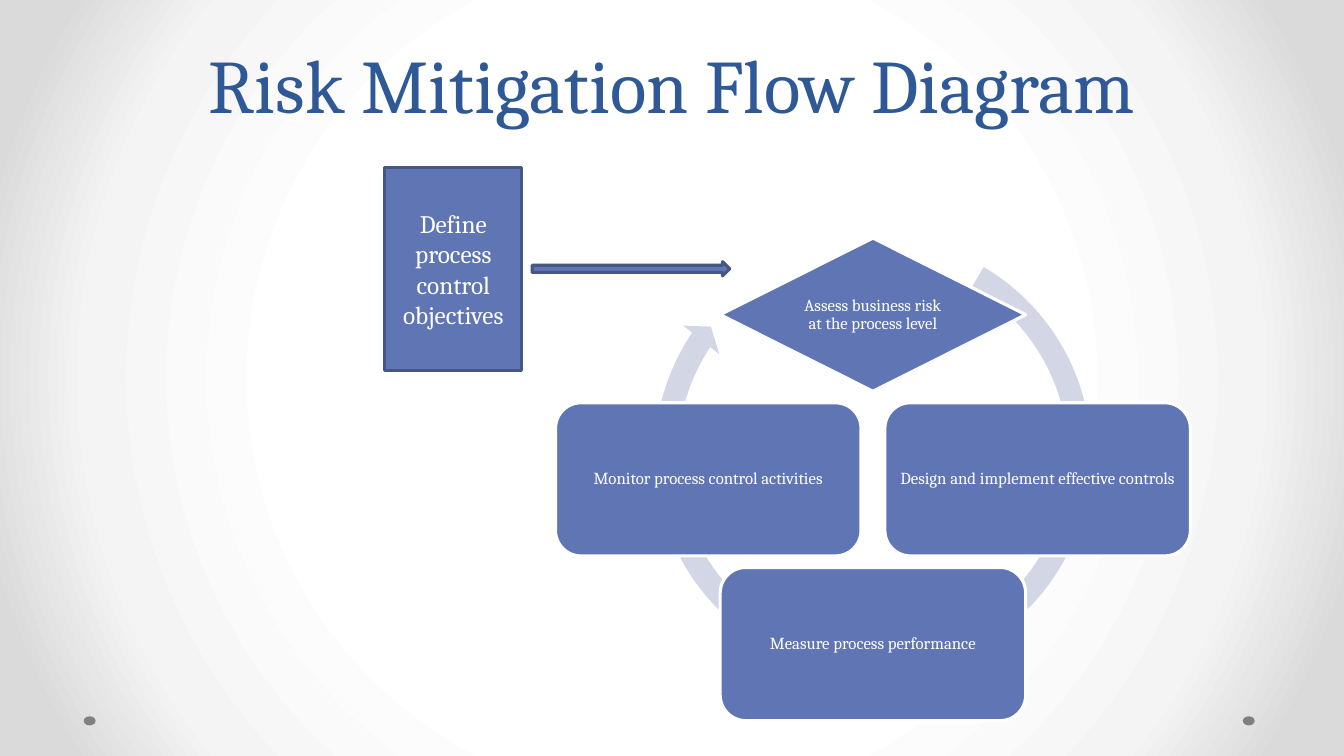
import math
from dataclasses import dataclass

from lxml import etree
from pptx import Presentation
from pptx import util as u
from pptx.dml.color import RGBColor
from pptx.enum import shapes, text
from pptx.oxml import ns


@dataclass(frozen=True)
class Theme:
    font: str = "Cambria"
    title: str = "2F5897"
    fill: str = "6076B4"
    edge: str = "475785"
    ring: str = "D2D6E5"
    dot: str = "808080"
    white: str = "FFFFFF"
    backdrop: tuple = ((50, "FFFFFF"), (76, "F4F4F4"), (92, "DADADA"))
    title_pt: float = 54
    title_leading_pt: float = 58
    start_pt: float = 18
    node_pt: float = 12
    line_pt: float = 2.25


THEME = Theme()
SHAPE = shapes.MSO_SHAPE


def add_block(parent, kind, box, fill, line=None):
    """Add a flat shape; box is left, top, width, height in cm."""
    sp = parent.add_shape(kind, *(u.Cm(v) for v in box))
    sp.shadow.inherit = False
    sp.fill.solid()
    sp.fill.fore_color.rgb = RGBColor.from_string(fill)
    if line:
        sp.line.color.rgb = RGBColor.from_string(line)
        sp.line.width = u.Pt(THEME.line_pt)
    else:
        sp.line.fill.background()
    return sp


def write(sp, words, size, color, spacing=None, inset=None):
    """Write one centred paragraph into a shape."""
    tf = sp.text_frame
    tf.word_wrap = True
    tf.vertical_anchor = text.MSO_ANCHOR.MIDDLE
    if inset is not None:
        tf.margin_left = tf.margin_right = u.Cm(inset)
        tf.margin_top = tf.margin_bottom = u.Cm(inset)
    p = tf.paragraphs[0]
    p.text = words
    p.alignment = text.PP_ALIGN.CENTER
    p.line_spacing = spacing
    p.font.name = THEME.font
    p.font.size = u.Pt(size)
    p.font.color.rgb = RGBColor.from_string(color)


def draw_backdrop(s):
    """Circular gradient background."""
    s.background.fill.gradient()
    grad = s.element.find(".//" + ns.qn("a:gradFill"))
    for child in list(grad):
        grad.remove(child)
    stops = etree.SubElement(grad, ns.qn("a:gsLst"))
    for percent, color in THEME.backdrop:
        stop = etree.SubElement(stops, ns.qn("a:gs"), pos=str(percent * 1000))
        etree.SubElement(stop, ns.qn("a:srgbClr"), val=color)
    path = etree.SubElement(grad, ns.qn("a:path"), path="circle")
    etree.SubElement(path, ns.qn("a:fillToRect"),
                     {side: "50000" for side in "ltrb"})


def draw_dots(s, box):
    """One dot at each end of the footer strip."""
    left, top, width, height = box
    dot_w = 0.3
    for x in (left, left + width - dot_w):
        add_block(s.shapes, SHAPE.OVAL, (x, top, dot_w, height), THEME.dot)


def draw_title(s, box):
    sp = s.shapes.add_textbox(*(u.Cm(v) for v in box))
    write(sp, "Risk Mitigation Flow Diagram", THEME.title_pt, THEME.title,
          u.Pt(THEME.title_leading_pt))


def draw_cycle(s, box):
    """Four steps set clockwise around a ring arrow."""
    left, top, width, height = box
    node_w, node_h = 7.7, 3.86
    cx, cy = left + width / 2, top + height / 2
    radius = (width - node_w) / 2
    group = s.shapes.add_group_shape().shapes

    # Ring arrow, raised a little above the centre of the steps
    ring, lift = 11.58, 0.61
    sp = add_block(group, SHAPE.CIRCULAR_ARROW,
                   (cx - ring / 2, cy - lift - ring / 2, ring, ring), THEME.ring)
    for i, value in enumerate((0.05, 2.73, 128.32, 180.3, 0.05)):
        sp.adjustments[i] = value

    # Steps, starting at the top
    steps = (
        (SHAPE.FLOWCHART_DECISION, "Assess business risk at the process level"),
        (SHAPE.ROUNDED_RECTANGLE, "Design and implement effective controls"),
        (SHAPE.ROUNDED_RECTANGLE, "Measure process performance"),
        (SHAPE.ROUNDED_RECTANGLE, "Monitor process control activities"),
    )
    for i, (kind, words) in enumerate(steps):
        angle = math.tau * i / len(steps)
        x = cx + radius * math.sin(angle) - node_w / 2
        y = cy - radius * math.cos(angle) - node_h / 2
        sp = add_block(group, kind, (x, y, node_w, node_h), THEME.fill, THEME.white)
        write(sp, words, THEME.node_pt, THEME.white, 0.9, inset=0.12)


def draw_start(s, box):
    """Starting step and the arrow that leads into the cycle."""
    left, top, width, height = box
    step_w, gap, arrow_h = 3.45, 0.26, 0.36
    sp = add_block(s.shapes, SHAPE.RECTANGLE, (left, top, step_w, height),
                   THEME.fill, THEME.edge)
    write(sp, "Define process control objectives", THEME.start_pt, THEME.white)
    offset = step_w + gap
    add_block(s.shapes, SHAPE.RIGHT_ARROW,
              (left + offset, top + (height - arrow_h) / 2, width - offset, arrow_h),
              THEME.fill, THEME.edge)


def main():
    prs = Presentation()
    prs.slide_width, prs.slide_height = u.Cm(33.87), u.Cm(19.05)
    s = prs.slides.add_slide(prs.slide_layouts[6])
    draw_backdrop(s)
    draw_dots(s, (2.11, 18.05, 29.51, 0.23))
    draw_title(s, (1.69, 0, 30.48, 4.45))
    draw_cycle(s, (14, 6, 16, 12.16))
    draw_start(s, (9.7, 4.22, 8.69, 5.11))
    prs.save("out.pptx")


if __name__ == "__main__":
    main()
